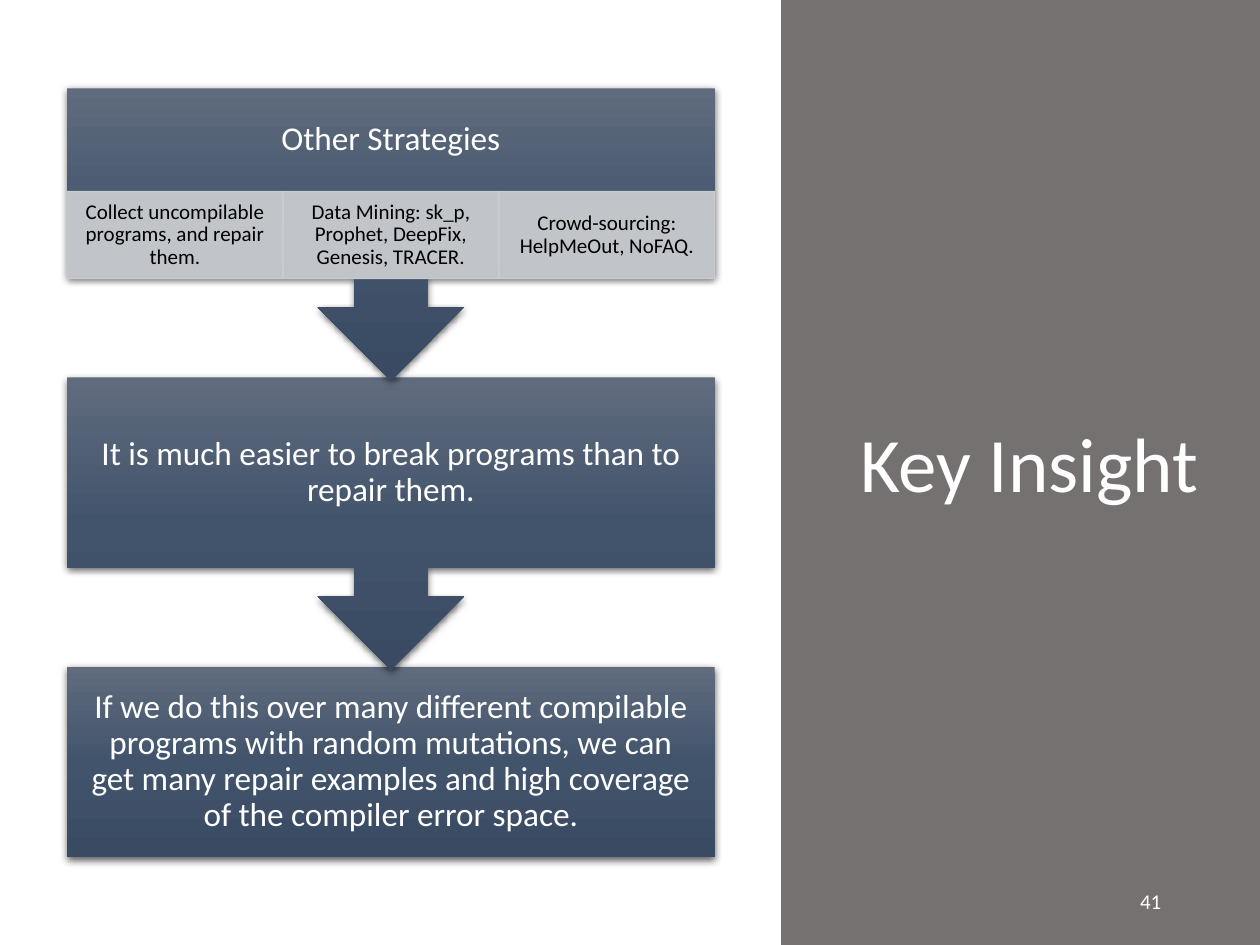
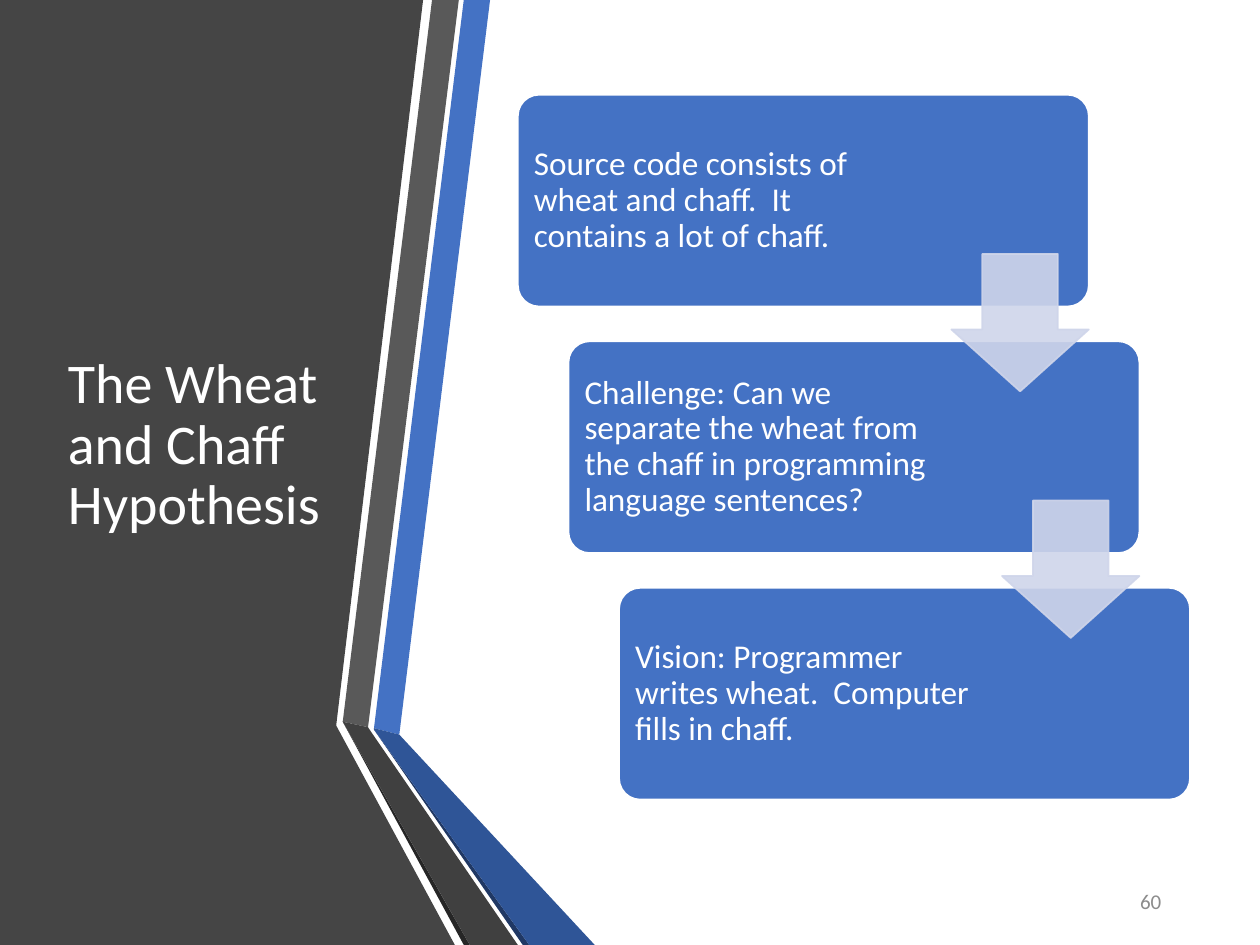
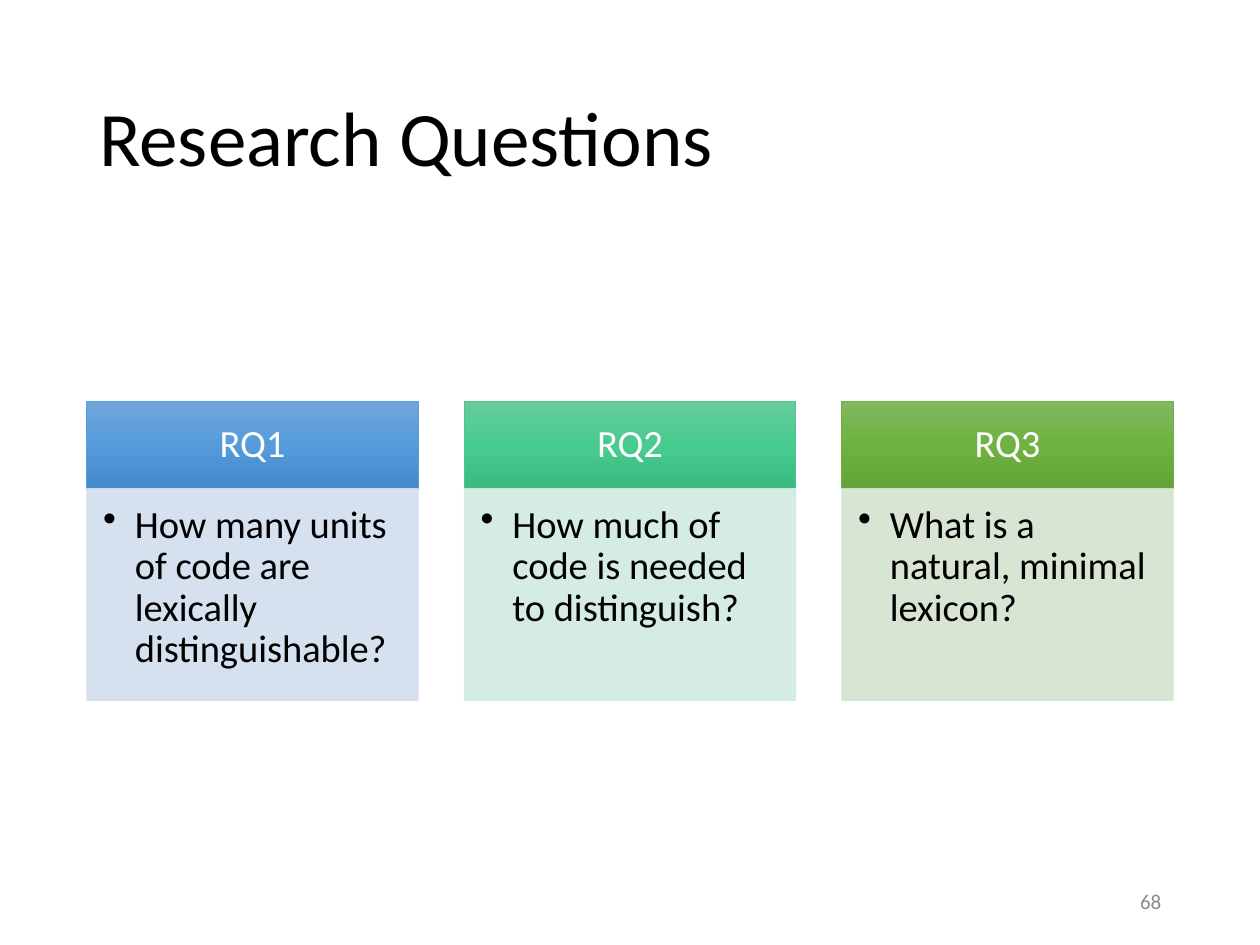
from copy import deepcopy

from lxml.etree import SubElement
from pptx import Presentation
from pptx.dml.color import RGBColor
from pptx.enum.shapes import MSO_SHAPE
from pptx.enum.text import MSO_ANCHOR, PP_ALIGN
from pptx.oxml.ns import qn
from pptx.util import Cm, Pt

# Shared style; all lengths are centimetres
FONT = "Calibri"
WIDTH, HEIGHT = 25.4, 19.05
COLOURS = {
    "white": "FFFFFF", "black": "000000", "page": "8C8C8C",
    "panel": "767171", "strategy": "CFD1D4",
    "blue": "4472C4", "arrow": "CFD5EA", "charcoal": "454545",
    "grey": "595959", "grey fold": "404040", "grey edge": "262626",
    "blue fold": "2F5597", "blue edge": "203864",
}
SLATE = ("606B7D", "42546C", "394A62")
TITLE = {"anchor": MSO_ANCHOR.MIDDLE, "spacing": 0.9}
PAGE = {"size": 12, "anchor": MSO_ANCHOR.MIDDLE, "align": PP_ALIGN.RIGHT}
CENTRED = {"anchor": MSO_ANCHOR.MIDDLE, "align": PP_ALIGN.CENTER, "spacing": 0.9}

# Slide 1 content
INSIGHT = "Key Insight"
STEPS = [
    "Other Strategies",
    "It is much easier to break programs than to repair them.",
    "If we do this over many different compilable programs with random "
    "mutations, we can get many repair examples and high coverage of the "
    "compiler error space.",
]
STRATEGIES = [
    "Collect uncompilable programs, and repair them.",
    "Data Mining: sk_p, Prophet, DeepFix, Genesis, TRACER.",
    "Crowd-sourcing: HelpMeOut, NoFAQ.",
]

# Slide 2 content: claims with the room kept free on their right
HYPOTHESIS = "The Wheat and Chaff Hypothesis"
CLAIMS = [
    ("Source code consists of wheat and chaff.  It contains a lot of chaff.", 4.55),
    ("Challenge: Can we separate the wheat from the chaff in programming "
     "language sentences?", 3.99),
    ("Vision: Programmer writes wheat.  Computer fills in chaff.", 3.99),
]
RIBBONS = [
    ("charcoal", [(0, 0), (8.53, 0), (6.78, 14.61), (6.78, 14.63),
                  (9.17, HEIGHT), (0, HEIGHT)]),
    ("blue", [(7.54, 14.68), (8.05, 14.81), (9.88, 0), (9.35, 0)]),
    ("grey", [(9.25, 0), (8.71, 0), (6.91, 14.55), (7.42, 14.66)]),
    ("grey edge", [(6.91, 14.55), (9.35, HEIGHT), (9.47, HEIGHT)]),
    ("blue edge", [(7.54, 14.71), (10.54, HEIGHT), (10.67, HEIGHT)]),
    ("blue fold", [(7.54, 14.71), (10.67, HEIGHT), (11.99, HEIGHT),
                   (8.05, 14.81), (7.54, 14.68)]),
    ("grey fold", [(10.44, HEIGHT), (7.52, 14.81), (7.42, 14.66),
                   (6.91, 14.55), (9.47, HEIGHT)]),
]

# Slide 3 content: label, question, header gradient, header line, body tint
RESEARCH = "Research Questions"
QUESTIONS = [
    ("RQ1", "How many units of code are lexically distinguishable?",
     ("71A6DB", "559BDB", "448ACA"), "5B9BD5", "D2DEEF"),
    ("RQ2", "How much of code is needed to distinguish?",
     ("67CC9A", "47CB8E", "39BB7F"), "4DC58D", "D0EAE1"),
    ("RQ3", "What is a natural, minimal lexicon?",
     ("81B861", "6FB242", "62A336"), "70AD47", "D5E3CF"),
]


def rgb(colour):
    return RGBColor.from_string(COLOURS.get(colour, colour))


def write(shape, text, size, colour, insets=(0.25, 0.13, 0.25, 0.13),
          anchor=MSO_ANCHOR.TOP, align=PP_ALIGN.LEFT, spacing=1.0, bullet=None):
    frame = shape.text_frame
    left, top, right, bottom = map(Cm, insets)
    frame_format = {"word_wrap": True, "vertical_anchor": anchor,
                    "margin_left": left, "margin_top": top,
                    "margin_right": right, "margin_bottom": bottom}
    for name, value in frame_format.items():
        setattr(frame, name, value)
    paragraph = frame.paragraphs[0]
    paragraph.text = text
    paragraph.alignment = align
    paragraph.line_spacing = spacing
    if bullet:
        properties = paragraph._p.get_or_add_pPr()
        properties.set("marL", str(Cm(0.64)))
        properties.set("indent", str(Cm(-0.64)))
        SubElement(properties, qn("a:buChar"), char=bullet)
    for name, value in {"name": FONT, "size": Pt(size)}.items():
        setattr(paragraph.font, name, value)
    paragraph.font.color.rgb = rgb(colour)


def write_box(slide, box, text, size, colour, **layout):
    write(slide.shapes.add_textbox(*map(Cm, box)), text, size, colour, **layout)


def paint(shape, fill, line=None, line_width=0.5, opacity=None):
    """Fill with one colour or, given a tuple, a top-to-bottom gradient."""
    shape.shadow.inherit = False
    properties = shape._element.spPr
    if isinstance(fill, tuple):
        shape.fill.gradient()
        shape.fill.gradient_angle = 270
        stops = properties.find(".//" + qn("a:gsLst"))
        stops.append(deepcopy(stops[0]))
        for stop, colour, position in zip(shape.fill.gradient_stops, fill, (0, 0.5, 1)):
            stop.color.rgb = rgb(colour)
            stop.position = position
    else:
        shape.fill.solid()
        shape.fill.fore_color.rgb = rgb(fill)
    if line:
        shape.line.color.rgb = rgb(line)
        shape.line.width = Pt(line_width)
    else:
        shape.line.fill.background()
    if opacity:
        for colour in properties.iter(qn("a:srgbClr")):
            SubElement(colour, qn("a:alpha"), val=str(opacity * 1000))


def add_block(slide, kind, box, fill, **look):
    shape = slide.shapes.add_shape(kind, *map(Cm, box))
    paint(shape, fill, **look)
    return shape


def cast_shadow(shape):
    effects = shape._element.spPr.find(qn("a:effectLst"))
    shadow = SubElement(effects, qn("a:outerShdw"), blurRad=str(Pt(4.5)),
                        dist=str(Pt(1.5)), dir="5400000", algn="ctr", rotWithShape="0")
    colour = SubElement(shadow, qn("a:srgbClr"), val=COLOURS["black"])
    SubElement(colour, qn("a:alpha"), val="63000")


def add_page_number(slide, number, colour="page"):
    write_box(slide, (17.94, 17.66, 5.72, 1.01), number, colour=colour, **PAGE)


def build_insight(slide):
    add_block(slide, MSO_SHAPE.RECTANGLE, (15.75, 0, WIDTH - 15.75, HEIGHT), "panel")
    write_box(slide, (17.09, 1.78, 7.65, 15.29), INSIGHT, 44, "white", **TITLE)
    add_page_number(slide, "41", "white")

    # Steps, last first so that each arrow tip lies over the next step
    left, top, width, height, pitch = 1.35, 1.78, 13.06, 3.83, 5.83
    strategy_top, strategy_height = 3.86, 1.76
    for index, step in reversed(list(enumerate(STEPS))):
        last = index == len(STEPS) - 1
        kind = MSO_SHAPE.RECTANGLE if last else MSO_SHAPE.DOWN_ARROW_CALLOUT
        box = (left, top + index * pitch, width, height if last else 5.89)
        block = add_block(slide, kind, box, SLATE)
        cast_shadow(block)
        bottom = 0.38 if index else 0.38 + strategy_height
        write(block, step, 19, "white", insets=(0.38, 0.38, 0.38, bottom), **CENTRED)

    # Strategies under the first step
    column = width / len(STRATEGIES)
    for index, strategy in enumerate(STRATEGIES):
        box = (left + index * column, strategy_top, column, strategy_height)
        cell = add_block(slide, MSO_SHAPE.RECTANGLE, box, "strategy",
                         line="strategy", opacity=90)
        write(cell, strategy, 12, "black", insets=(0.23, 0.05, 0.23, 0.05), **CENTRED)


def build_hypothesis(slide):
    # Folded ribbons
    for colour, points in RIBBONS:
        start, *rest = [(Cm(x), Cm(y)) for x, y in points]
        outline = slide.shapes.build_freeform(*start)
        outline.add_line_segments(rest)
        paint(outline.convert_to_shape(), colour)
    write_box(slide, (1.12, 1.91, 5.79, 14.17), HYPOTHESIS, 32, "white", **TITLE)

    # Staircase of claims, then the arrows between them
    left, top, width, height = 10.44, 1.91, 11.51, 4.27
    step_x, step_y, arrow_size = 1.02, 4.97, 2.77
    for index, (claim, room) in enumerate(CLAIMS):
        box = (left + index * step_x, top + index * step_y, width, height)
        card = add_block(slide, MSO_SHAPE.ROUNDED_RECTANGLE, box, "blue",
                         line="white", line_width=1)
        card.adjustments[0] = 0.1
        write(card, claim, 19, "white", insets=(0.2, 0.2, room, 0.2), **TITLE)
    for index in range(len(CLAIMS) - 1):
        box = (left + width - arrow_size + index * step_x,
               top + 3.21 + index * step_y, arrow_size, arrow_size)
        arrow = add_block(slide, MSO_SHAPE.DOWN_ARROW, box, "arrow",
                          line="arrow", line_width=1, opacity=90)
        arrow.adjustments[0] = 0.55
        arrow.adjustments[1] = 0.45
    add_page_number(slide, "60")


def build_questions(slide):
    write_box(slide, (1.75, 1.02, 21.89, 3.68), RESEARCH, 44, "black", **TITLE)
    left, top, width, pitch, header_height = 1.75, 8.1, 6.68, 7.61, 1.75
    for index, (label, question, shades, edge, tint) in enumerate(QUESTIONS):
        x = left + index * pitch
        header = add_block(slide, MSO_SHAPE.RECTANGLE, (x, top, width, header_height),
                           shades, line=edge)
        write(header, label, 22, "white", insets=(0.43, 0.25, 0.43, 0.25), **CENTRED)
        body = add_block(slide, MSO_SHAPE.RECTANGLE,
                         (x, top + header_height, width, 4.27),
                         tint, line=tint, opacity=90)
        write(body, question, 22, "black", insets=(0.33, 0.33, 0.43, 0.48),
              spacing=0.9, bullet="•")
    add_page_number(slide, "68")


def main():
    deck = Presentation()
    deck.slide_width, deck.slide_height = Cm(WIDTH), Cm(HEIGHT)
    for build in (build_insight, build_hypothesis, build_questions):
        build(deck.slides.add_slide(deck.slide_layouts[6]))
    deck.save("out.pptx")


if __name__ == "__main__":
    main()
